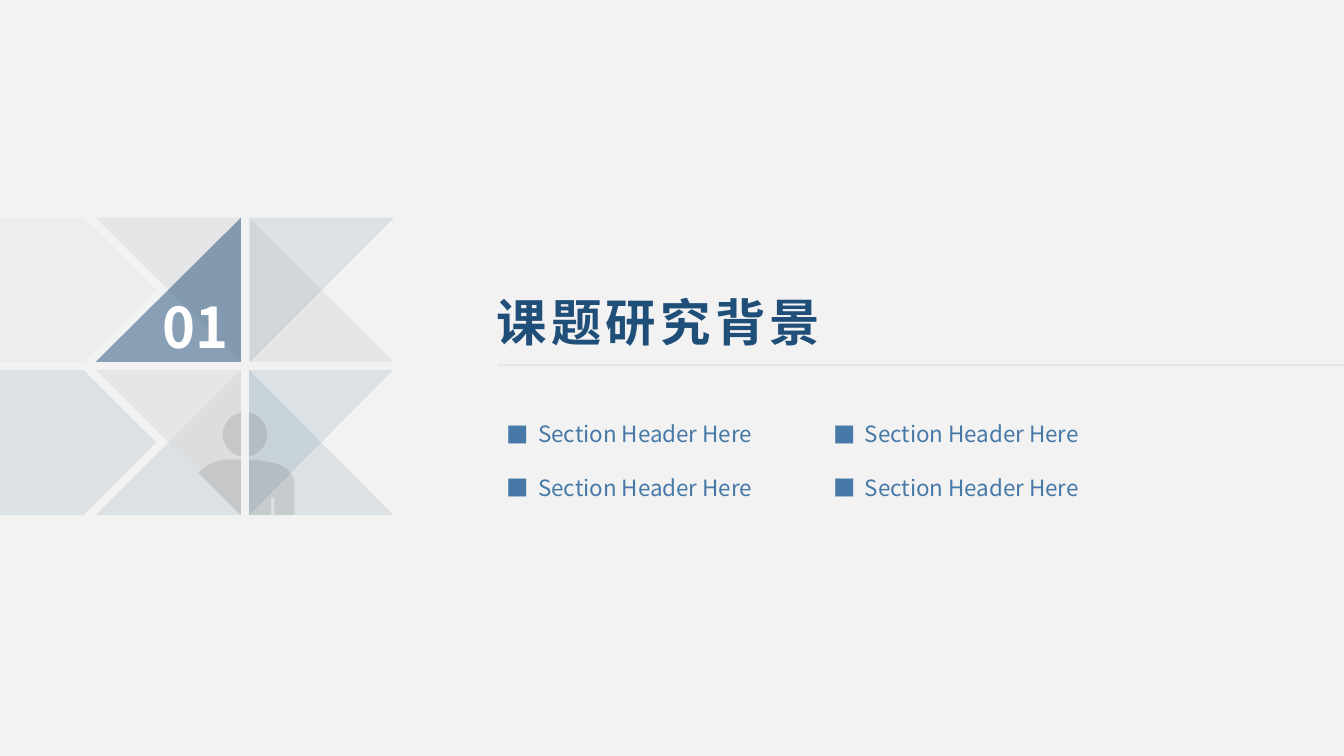
from math import cos, radians, sin

from lxml.etree import SubElement
from pptx import Presentation
from pptx.dml.color import RGBColor
from pptx.enum.shapes import MSO_CONNECTOR as CONNECTOR
from pptx.enum.text import MSO_AUTO_SIZE as AUTO_SIZE
from pptx.oxml.ns import qn
from pptx.util import Inches, Pt

COLORS = {
    "background": "F2F2F2", "navy": "1F4E79", "blue": "4679A7", "white": "FFFFFF",
    "rule": "E6E6E6", "pale": "D9D9D9", "silver": "DBDBDB", "gray": "7F7F7F",
    "ink": "0D0D0D",
}
FONT = "Noto Sans CJK SC"

# Edges of the two columns and two rows of the triangle mosaic
LEFT, INNER_LEFT, INNER_RIGHT, RIGHT = 0.95, 2.39, 2.47, 3.9
TOP, UPPER_END, LOWER_START, BOTTOM = 2.16, 3.59, 3.67, 5.11


def color(name):
    return RGBColor.from_string(COLORS[name])


def add_span(para, text, size, shade, bold=False, spacing=None):
    span = para.add_run()
    span.text = text
    span.font.size = Pt(size)
    span.font.bold = bold
    span.font.name = FONT
    span.font.color.rgb = color(shade)
    properties = span.font._element
    SubElement(properties, qn("a:ea")).set("typeface", FONT)
    if spacing:
        properties.set("spc", str(spacing * 100))


def add_square_bullet(para, indent):
    properties = para._p.get_or_add_pPr()
    properties.set("marL", str(Inches(indent)))
    properties.set("indent", str(-Inches(indent)))
    SubElement(properties, qn("a:buFont")).set("typeface", FONT)
    SubElement(properties, qn("a:buChar")).set("char", "■")


def head_arc(start, end):
    """Points of the head's circle between two angles in degrees."""
    steps = 16
    angles = [radians(start + (end - start) * i / steps) for i in range(steps + 1)]
    return [(2.43 + 0.22 * cos(a), 4.31 + 0.22 * sin(a)) for a in angles]


class SlideBuilder:
    def __init__(self, page):
        self.page = page
        page.background.fill.solid()
        page.background.fill.fore_color.rgb = color("background")

    def polygon(self, points, shade, opacity):
        corners = [(Inches(x), Inches(y)) for x, y in points]
        builder = self.page.shapes.build_freeform(*corners[0])
        builder.add_line_segments(corners[1:], close=True)
        shape = builder.convert_to_shape()
        shape.shadow.inherit = False
        shape.line.fill.background()
        shape.fill.solid()
        shape.fill.fore_color.rgb = color(shade)
        tint = shape._element.spPr.find(".//" + qn("a:srgbClr"))
        SubElement(tint, qn("a:alpha")).set("val", str(opacity * 1000))

    def rule(self, left, right, y):
        line = self.page.shapes.add_connector(
            CONNECTOR.STRAIGHT, Inches(left), Inches(y), Inches(right), Inches(y))
        line.line.color.rgb = color("rule")
        line.line.width = Pt(1.5)
        SubElement(line._element.spPr, qn("a:effectLst"))

    def text_box(self, left, top, width, height):
        box = self.page.shapes.add_textbox(
            Inches(left), Inches(top), Inches(width), Inches(height))
        box.text_frame.word_wrap = True
        box.text_frame.auto_size = AUTO_SIZE.SHAPE_TO_FIT_TEXT
        return box.text_frame

    def label(self, area, text, **style):
        add_span(self.text_box(*area).paragraphs[0], text, **style)

    def bullets(self, area, items):
        frame = self.text_box(*area)
        for number, item in enumerate(items):
            para = frame.add_paragraph() if number else frame.paragraphs[0]
            para.line_spacing = 2.0
            add_square_bullet(para, 0.31)
            add_span(para, item, size=16, shade="blue")


def arrow_block(top, bottom):
    return [(0.83, top), (-0.01, top), (-0.01, bottom), (0.83, bottom),
            (1.55, (top + bottom) / 2)]


LEFT_SHOULDER = [
    (2.33, 4.56), (2.25, 4.56), (2.17, 4.57), (2.12, 4.59), (2.07, 4.61),
    (2.02, 4.64), (1.97, 4.69), (INNER_LEFT, BOTTOM), (INNER_LEFT, 4.56),
]
RIGHT_SHOULDER = [
    (2.53, 4.56), (INNER_RIGHT, 4.56), (INNER_RIGHT, BOTTOM), (2.69, BOTTOM),
    (2.69, 4.94), (2.72, 4.94), (2.72, BOTTOM), (2.92, BOTTOM), (2.92, 4.78),
    (2.91, 4.74), (2.89, 4.71), (2.87, 4.67), (2.82, 4.64), (2.77, 4.61),
    (2.71, 4.59), (2.65, 4.58), (2.59, 4.57),
]
MOSAIC = [
    (arrow_block(TOP, UPPER_END), "pale", 20),
    (arrow_block(LOWER_START, BOTTOM), "navy", 10),
    ([(INNER_LEFT, UPPER_END), (LEFT, TOP), (INNER_LEFT, TOP)], "gray", 10),
    ([(INNER_LEFT, TOP), (LEFT, UPPER_END), (INNER_LEFT, UPPER_END)], "navy", 50),
    ([(RIGHT, UPPER_END), (INNER_RIGHT, TOP), (INNER_RIGHT, UPPER_END)], "gray", 10),
    ([(INNER_RIGHT, BOTTOM), (RIGHT, LOWER_START), (INNER_RIGHT, LOWER_START)], "navy", 10),
    ([(LEFT, BOTTOM), (INNER_LEFT, LOWER_START), (INNER_LEFT, BOTTOM)], "navy", 10),
    ([(INNER_LEFT, BOTTOM), (LEFT, LOWER_START), (INNER_LEFT, LOWER_START)], "silver", 50),
    (head_arc(100, 260), "ink", 10),
    (LEFT_SHOULDER, "ink", 10),
    ([(INNER_RIGHT, LOWER_START), (RIGHT, BOTTOM), (INNER_RIGHT, BOTTOM)], "navy", 10),
    (head_arc(-80, 80), "ink", 10),
    (RIGHT_SHOULDER, "ink", 10),
    ([(2.48, UPPER_END), (3.91, TOP), (2.48, TOP)], "navy", 10),
]


def main():
    deck = Presentation()
    deck.slide_width, deck.slide_height = Inches(13.33), Inches(7.5)
    slide = SlideBuilder(deck.slides.add_slide(deck.slide_layouts[6]))

    for points, shade, opacity in MOSAIC:
        slide.polygon(points, shade, opacity)

    slide.rule(4.94, 13.33, 3.62)
    slide.label((4.83, 2.84, 5.57, 0.71), "课题研究背景",
                size=36, shade="navy", bold=True, spacing=3)
    for left, width in [(4.93, 3.02), (8.17, 3.27)]:
        slide.bullets((left, 3.85, width, 1.11), ["Section Header Here"] * 2)
    slide.label((1.51, 2.85, 1, 0.77), "01", size=40, shade="white", bold=True)

    deck.save("out.pptx")


if __name__ == "__main__":
    main()
